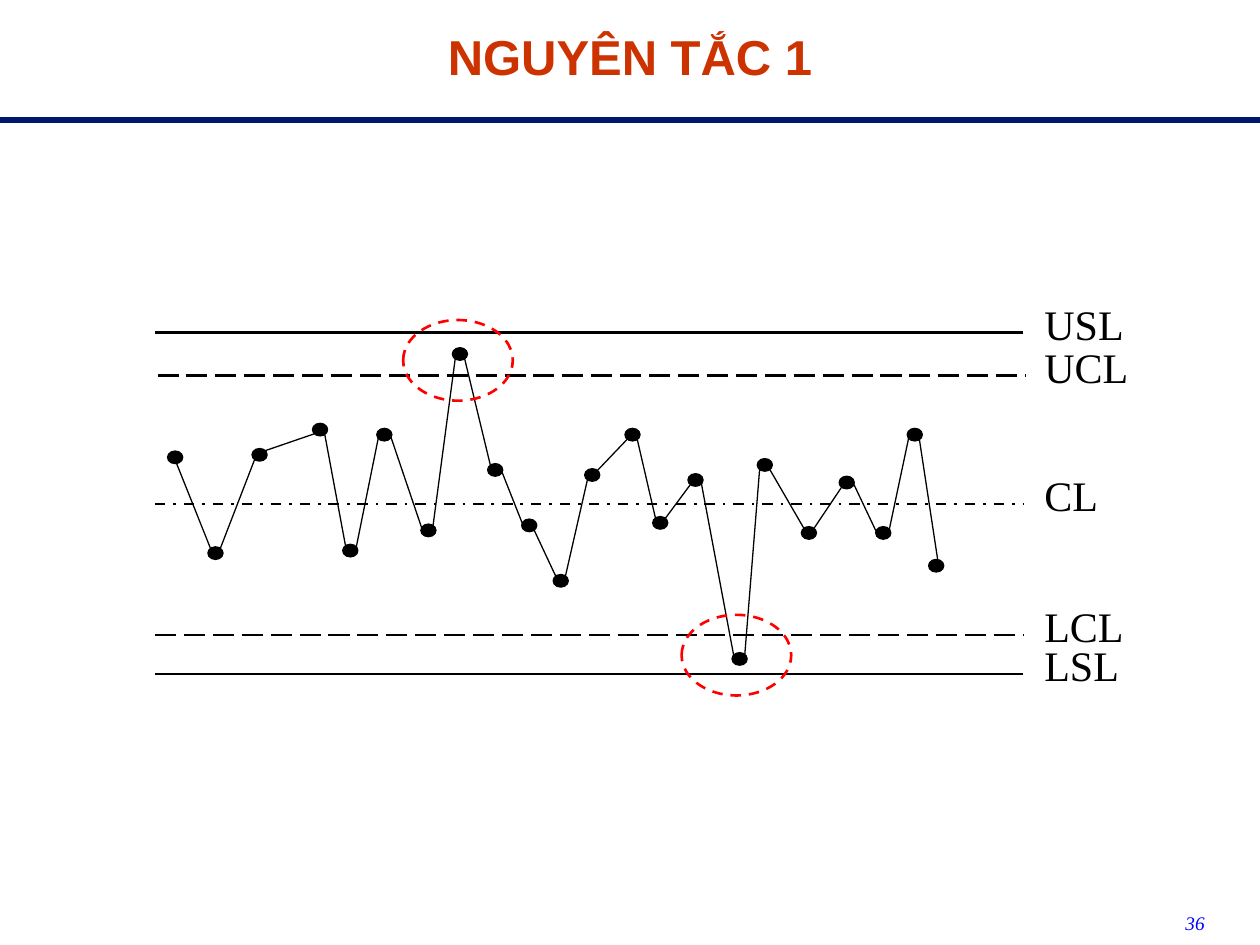
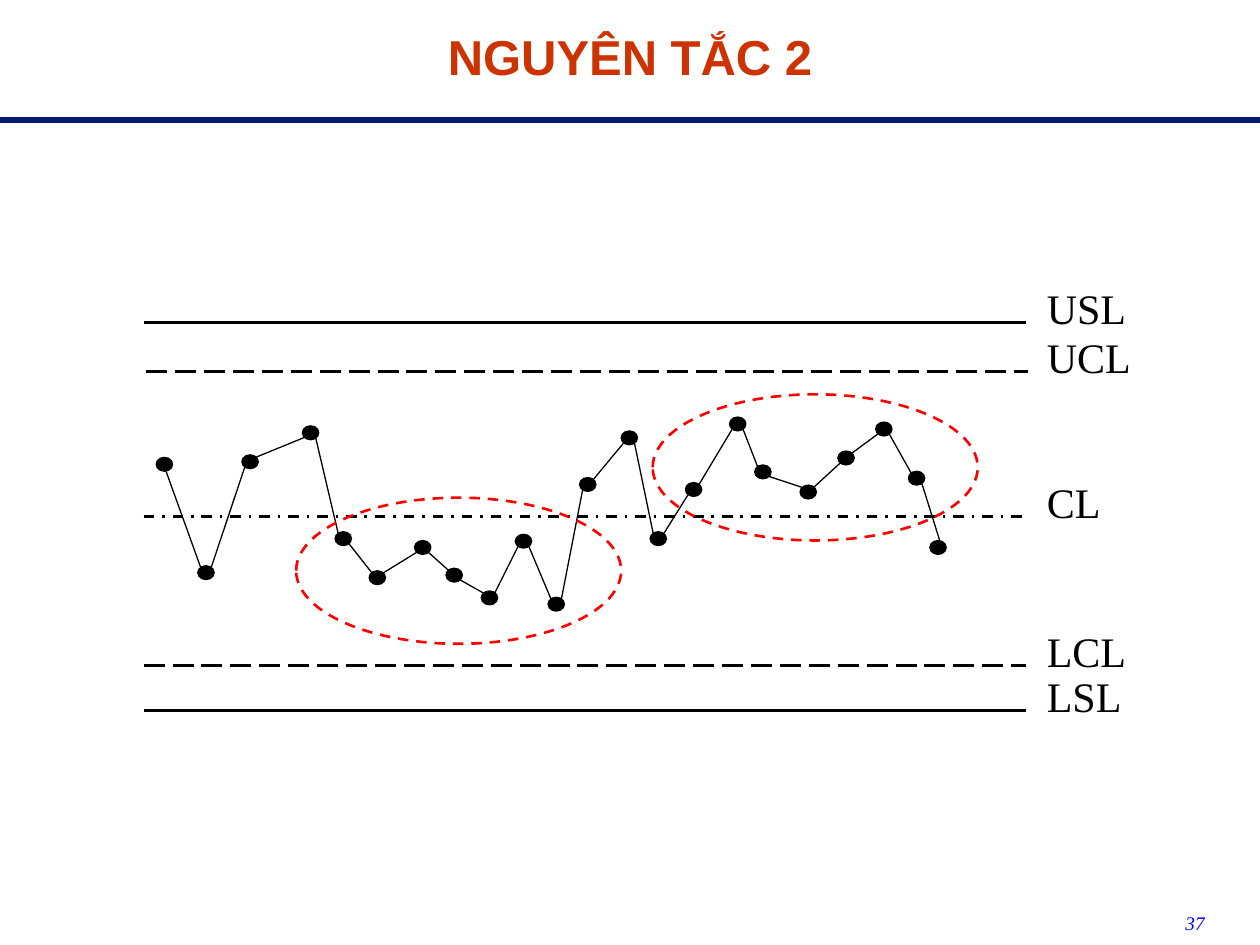
from pptx import Presentation
from pptx.dml.color import RGBColor as RGB
from pptx.enum.dml import MSO_LINE as Dash
from pptx.enum.shapes import MSO_CONNECTOR as Conn, MSO_SHAPE as Shape
from pptx.enum.text import MSO_ANCHOR as Anchor, MSO_AUTO_SIZE as Fit, PP_ALIGN as Align
from pptx.oxml.ns import qn
from pptx.util import Inches, Pt
from lxml.etree import SubElement

WIDE, HIGH = 10, 7.5
INK = {"title": "CC3300", "rule": "01186C", "page": "0000FF",
       "plot": "000000", "ring": "FF0000"}
SANS, SERIF = "Arial", "Times New Roman"

# Control limits: name, dash, shift to the right
LIMITS = [("USL", None, 0), ("UCL", Dash.LONG_DASH, 0.02), ("CL", Dash.DASH_DOT, 0),
          ("LCL", Dash.LONG_DASH, 0), ("LSL", None, 0)]

# Where a line meets a dot, as shares of its width (in, out) and height
PORTS_X = {"t": (0.2, 0.8), "b": (0.2, 0.8), "T": (0.6, 0.6), "B": (0.6, 0.6)}
PORTS_Y = {"t": 0.2, "b": 0.8, "T": 0, "B": 1}

# Dots: left, top, then the ports of the line in and the line out
CHARTS = [
    dict(title="NGUYÊN TẮC 1", page="36", span=(1.23, 8.12), dot=(0.12, 0.1), label=0.64,
         levels=[2.64, 2.98, 4, 5.04, 5.35],
         rings=[(3.2, 2.54, 0.87, 0.64), (5.41, 4.88, 0.87, 0.64)],
         dots=[(1.33, 3.58, "BB"), (1.65, 4.34, "tt"), (2, 3.56, "bt"), (2.48, 3.36, "bb"),
               (2.72, 4.32, "tb"), (2.99, 3.4, "tt"), (3.34, 4.16, "bt"), (3.59, 2.76, "bb"),
               (3.87, 3.68, "tt"), (4.14, 4.12, "bb"), (4.39, 4.56, "tt"), (4.64, 3.72, "bt"),
               (4.96, 3.4, "bb"), (5.18, 4.1, "tt"), (5.46, 3.76, "bt"), (5.81, 5.18, "bb"),
               (6.01, 3.64, "tb"), (6.36, 4.18, "tt"), (6.66, 3.78, "bt"), (6.95, 4.18, "bb"),
               (7.2, 3.4, "tb"), (7.37, 4.44, "TT")]),
    dict(title="NGUYÊN TẮC 2", page="37", span=(1.14, 8.14), dot=(0.13, 0.11), label=0.73,
         levels=[2.56, 2.95, 4.1, 5.28, 5.64],
         rings=[(2.35, 3.95, 2.58, 1.16), (5.18, 3.13, 2.58, 1.16)],
         dots=[(1.24, 3.63, "BB"), (1.57, 4.49, "tt"), (1.92, 3.61, "bt"), (2.4, 3.38, "bb"),
               (2.66, 4.22, "tb"), (2.93, 4.53, "tt"), (3.29, 4.29, "bb"), (3.54, 4.51, "tb"),
               (3.82, 4.69, "tt"), (4.09, 4.24, "bb"), (4.35, 4.74, "tt"), (4.6, 3.79, "bt"),
               (4.93, 3.42, "bb"), (5.16, 4.22, "tt"), (5.44, 3.83, "bt"), (5.79, 3.31, "bb"),
               (5.99, 3.69, "tb"), (6.35, 3.85, "tt"), (6.65, 3.58, "bt"), (6.95, 3.35, "bb"),
               (7.21, 3.74, "tb"), (7.38, 4.29, "TT")]),
]


def pen(shape, ink, width, dash=None):
    shape.line.color.rgb = RGB.from_string(INK[ink])
    shape.line.width = Pt(width)
    if dash:
        shape.line.dash_style = dash


def line(slide, start, end, ink, width, dash=None):
    link = slide.shapes.add_connector(
        Conn.STRAIGHT, *(Inches(n) for n in (*start, *end)))
    pen(link, ink, width, dash)
    SubElement(link._element.spPr, qn("a:effectLst"))


def oval(slide, box, ink, width, dash=None, solid=False):
    shape = slide.shapes.add_shape(Shape.OVAL, *(Inches(n) for n in box))
    shape.shadow.inherit = False
    if solid:
        shape.fill.solid()
        shape.fill.fore_color.rgb = RGB.from_string(INK[ink])
    else:
        shape.fill.background()
    pen(shape, ink, width, dash)


def write(shape, text, ink, size, face, align=Align.LEFT, bold=False, italic=False):
    frame = shape.text_frame
    frame.text = text
    frame.word_wrap = True
    frame.auto_size = Fit.NONE
    frame.vertical_anchor = Anchor.TOP
    para = frame.paragraphs[0]
    para.alignment = align
    font = para.runs[0].font
    font.name, font.size, font.bold, font.italic = face, Pt(size), bold, italic
    font.color.rgb = RGB.from_string(INK[ink])


def text_box(slide, box, *args, **style):
    write(slide.shapes.add_textbox(*(Inches(n) for n in box)), *args, **style)


def frame_slide(slide, title, page):
    """Title, rule and page number shared by the slides."""
    head = slide.shapes.title
    head.left, head.top = Inches(0), Inches(0.16)
    head.width, head.height = Inches(WIDE), Inches(0.91)
    write(head, title, "title", 28, SANS, Align.CENTER, bold=True)
    text_box(slide, (7.33, 7.18, 2.33, 0.25), page, "page", 11, SERIF,
             Align.RIGHT, italic=True)
    line(slide, (0, 0.95), (WIDE, 0.95), "rule", 3.5)


def draw_limits(slide, chart):
    left, right = chart["span"]
    tall = chart["label"]
    for (name, dash, shift), y in zip(LIMITS, chart["levels"]):
        line(slide, (left + shift, y), (right + shift, y), "plot", 1.5, dash)
        text_box(slide, (right + 0.07, y - tall / 2, 1.3, tall), name, "plot", 24, SERIF)


def port(dot, size, side):
    """Point where the line enters (side 0) or leaves (side 1) a dot."""
    x, y, ports = dot
    key = ports[side]
    return x + PORTS_X[key][side] * size[0], y + PORTS_Y[key] * size[1]


def draw_run(slide, chart):
    dots, size = chart["dots"], chart["dot"]
    for x, y, _ in dots:
        oval(slide, (x, y, *size), "plot", 0.75, solid=True)
    for one, two in zip(dots, dots[1:]):
        line(slide, port(one, size, 1), port(two, size, 0), "plot", 0.75)
    for ring in chart["rings"]:
        oval(slide, ring, "ring", 1.5, Dash.DASH)


def main():
    deck = Presentation()
    deck.slide_width, deck.slide_height = Inches(WIDE), Inches(HIGH)
    for chart in CHARTS:
        slide = deck.slides.add_slide(deck.slide_layouts[5])
        frame_slide(slide, chart["title"], chart["page"])
        draw_limits(slide, chart)
        draw_run(slide, chart)
    deck.save("out.pptx")


if __name__ == "__main__":
    main()
